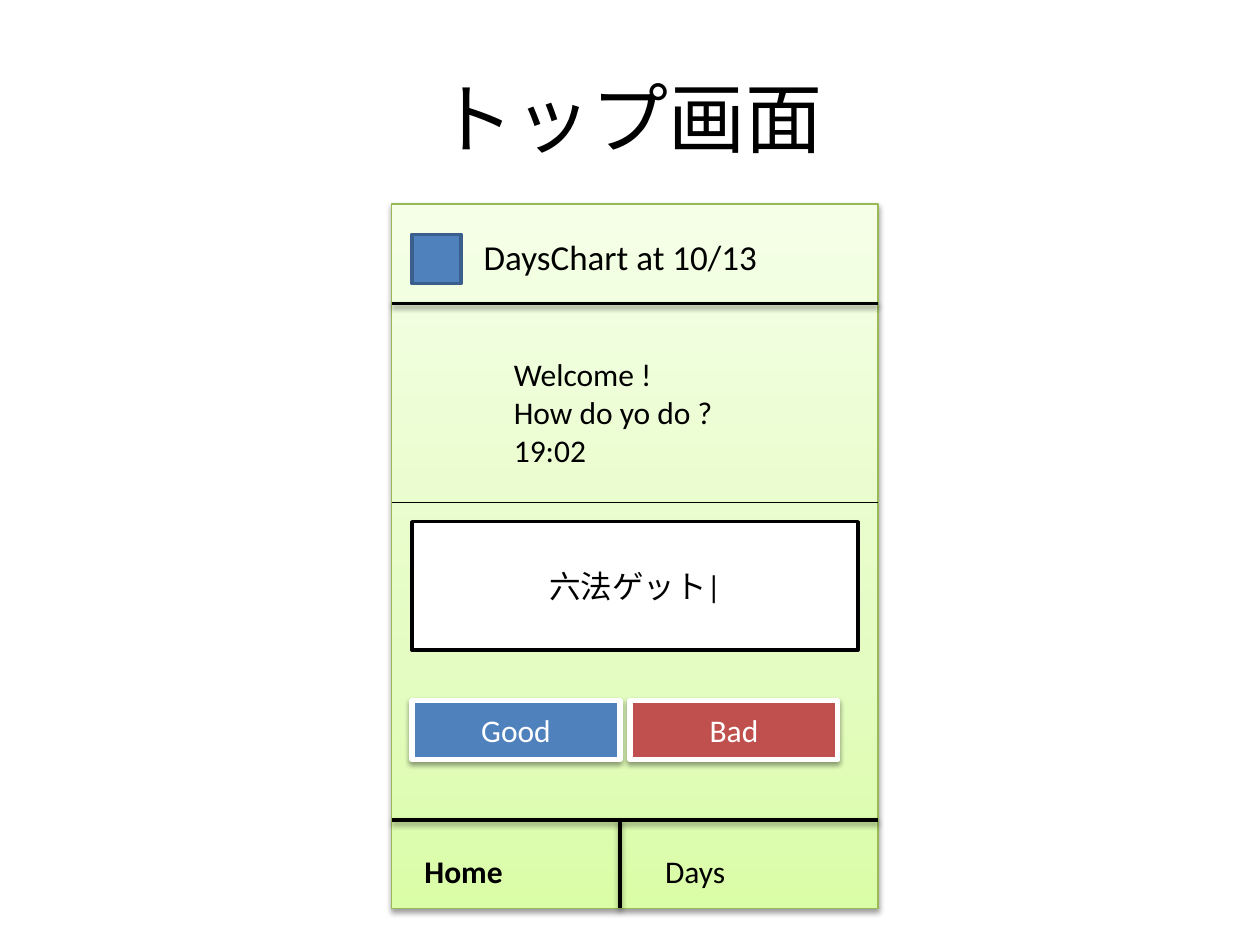
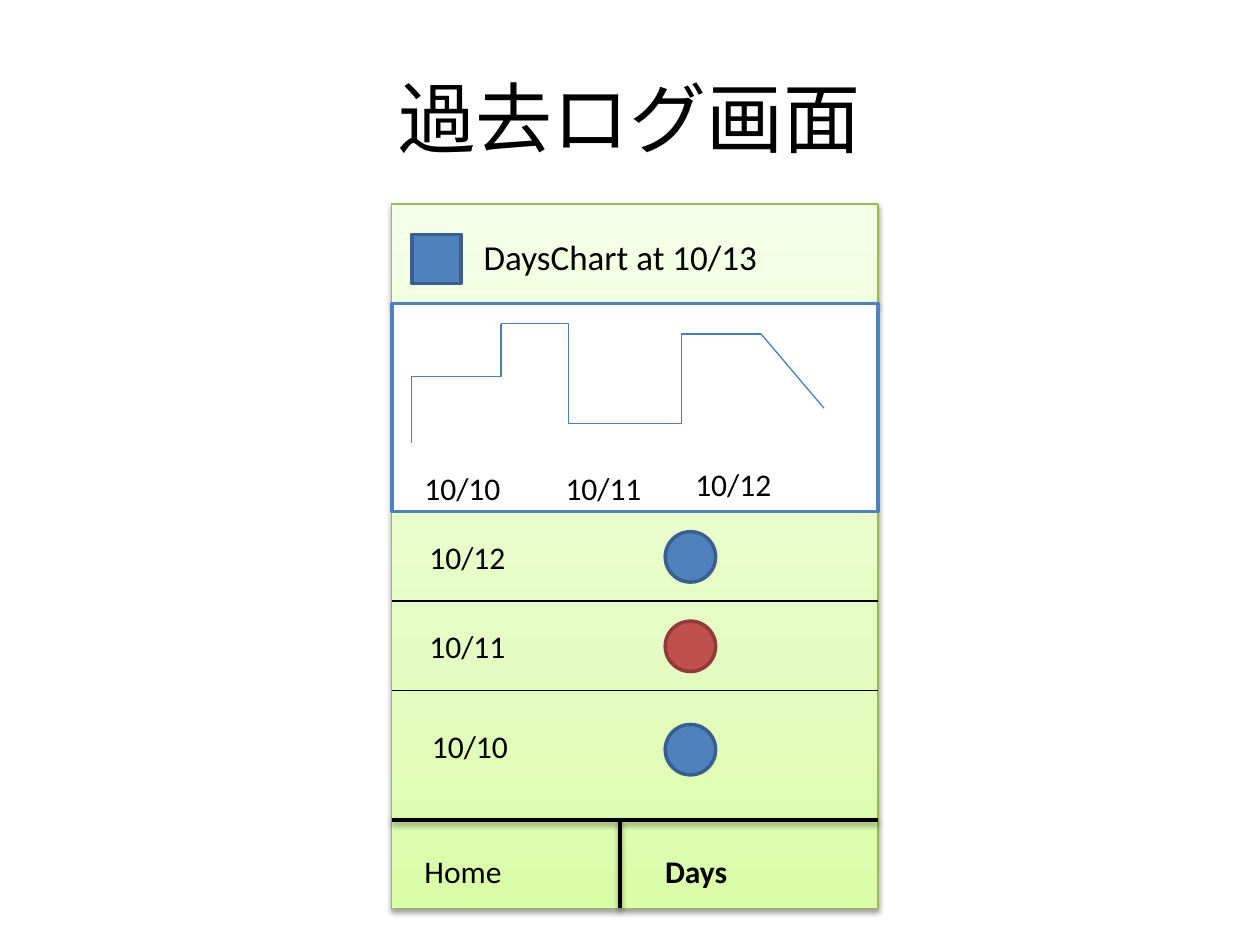
"""Two wireframes of a phone app: the top screen and the past log screen."""
from dataclasses import dataclass
from typing import Any, Optional

import lxml.etree
import pptx
import pptx.dml.color
import pptx.enum.shapes
import pptx.enum.text
import pptx.oxml
import pptx.oxml.ns
import pptx.util

Inches = pptx.util.Inches
Pt = pptx.util.Pt
qn = pptx.oxml.ns.qn
SHAPE = pptx.enum.shapes.MSO_SHAPE
CONNECTOR = pptx.enum.shapes.MSO_CONNECTOR
ANCHOR = pptx.enum.text.MSO_ANCHOR
ALIGN = pptx.enum.text.PP_ALIGN


@dataclass(frozen=True)
class Theme:
    """Colours, type sizes and line widths of both screens."""
    font: str = "Calibri"
    black: str = "000000"
    white: str = "FFFFFF"
    blue: str = "4F81BD"
    blue_edge: str = "3A5F8C"
    trend: str = "4B7EBC"
    red: str = "C0504D"
    red_edge: str = "8E3B39"
    phone_edge: str = "98B955"
    phone_stops: tuple = ((0, "DAFDA7"), (35, "E4FCC2"), (100, "F5FFE7"))
    title_size: int = 44
    header_size: int = 20
    body_size: int = 18
    thin: float = 0.75
    thick: float = 2
    button_edge: float = 3


@dataclass(frozen=True)
class Box:
    """A rectangle in inches."""
    left: float
    top: float
    width: float
    height: float

    def emu(self) -> tuple:
        """Return the four lengths for python-pptx."""
        return tuple(Inches(v) for v in (self.left, self.top, self.width, self.height))


@dataclass(frozen=True)
class Label:
    """A short text and the corner where its box starts."""
    text: str
    left: float
    top: float


@dataclass(frozen=True)
class Entry:
    """One day of the log and its mark."""
    label: Label
    mark_top: float
    fill: str
    edge: str


@dataclass(frozen=True)
class Elbow:
    """One bent piece of the trend line."""
    start: tuple
    end: tuple
    bend: float = 0.5
    turn: int = 0


T = Theme()
PHONE = Box(3.11, 1.62, 3.86, 5.59)
PHONE_RIGHT = PHONE.left + PHONE.width
PHONE_BOTTOM = PHONE.top + PHONE.height
INNER_LEFT = 3.27
HEADER_BOTTOM = 2.41
TAB_TOP = 6.51
TAB_SPLIT = 4.92
TABS = (Label("Home", INNER_LEFT, 6.71), Label("Days", 5.18, 6.71))
TAB_SIZE = (1.18, 0.4)
DATE_SIZE = (0.87, 0.4)

BUTTONS = (("Good", T.blue), ("Bad", T.red))
BUTTON = Box(INNER_LEFT, 5.56, 1.65, 0.47)
BUTTON_STEP = 1.73

CHART = Box(PHONE.left, HEADER_BOTTOM, PHONE.width, 1.65)
ROW_HEIGHT = 0.71
TREND = (
    Elbow((4.09, 3.4), (3.15, 2.69), bend=0.56, turn=90),
    Elbow((3.98, 2.57), (5.04, 3.36)),
    Elbow((5.04, 3.36), (6.04, 2.65), bend=0.37),
)
AXIS_DATES = (Label("10/10", INNER_LEFT, 3.67), Label("10/11", 4.39, 3.67),
              Label("10/12", 5.42, 3.64))
ENTRIES = (
    Entry(Label("10/12", 3.31, 4.22), 4.22, T.blue, T.blue_edge),
    Entry(Label("10/11", 3.31, 4.93), 4.93, T.red, T.red_edge),
    Entry(Label("10/10", 3.33, 5.72), 5.75, T.blue, T.blue_edge),
)


def rgb(value: str) -> Any:
    """Turn a hex string into a colour."""
    return pptx.dml.color.RGBColor.from_string(value)


def set_effects(sp: Any, shadow: bool) -> None:
    """Drop the theme's shadow, or give the soft one below the object."""
    sub = lxml.etree.SubElement
    effects = sub(sp.element.spPr, qn("a:effectLst"))
    if shadow:
        outer = sub(effects, qn("a:outerShdw"), blurRad=str(Pt(3.1)),
                    dist=str(Pt(1.6)), dir="5400000", rotWithShape="0")
        color = sub(outer, qn("a:srgbClr"), val=T.black)
        sub(color, qn("a:alpha"), val="38000")


def write(sp: Any, text: str, *, size: float = T.body_size, color: str = T.black,
          bold: bool = False, align: Any = ALIGN.LEFT, anchor: Any = ANCHOR.TOP,
          grow: bool = False) -> None:
    """Write text into a shape, one paragraph a line."""
    tf = sp.text_frame
    tf.word_wrap = True
    tf.vertical_anchor = anchor
    if grow:
        tf.auto_size = pptx.enum.text.MSO_AUTO_SIZE.SHAPE_TO_FIT_TEXT
    for i, line in enumerate(text.split("\n")):
        p = tf.add_paragraph() if i else tf.paragraphs[0]
        p.alignment = align
        r = p.add_run()
        r.text = line
        r.font.name = T.font
        r.font.size = Pt(size)
        r.font.bold = bold
        r.font.color.rgb = rgb(color)


def add_text(shapes: Any, box: Box, text: str, **fmt: Any) -> None:
    """Add a text box that grows with its text."""
    write(shapes.add_textbox(*box.emu()), text, grow=True, **fmt)


def add_label(shapes: Any, label: Label, size: tuple, **fmt: Any) -> None:
    """Add a label with a box of the given size."""
    add_text(shapes, Box(label.left, label.top, *size), label.text, **fmt)


def add_shape(shapes: Any, box: Box, fill: Optional[str], edge: str, width: float = T.thick,
              kind: Any = SHAPE.RECTANGLE, shadow: bool = False) -> Any:
    """Add a preset shape; without a fill colour it gets the phone's gradient."""
    sp = shapes.add_shape(kind, *box.emu())
    if fill:
        sp.fill.solid()
        sp.fill.fore_color.rgb = rgb(fill)
    else:
        sp.fill.gradient()
        sp.fill.gradient_angle = 90
        stops = sp.element.spPr.find(".//" + qn("a:gsLst"))
        for stop in list(stops):
            stops.remove(stop)
        for place, color in T.phone_stops:
            stop = lxml.etree.SubElement(stops, qn("a:gs"), pos=str(place * 1000))
            lxml.etree.SubElement(stop, qn("a:srgbClr"), val=color)
    sp.line.color.rgb = rgb(edge)
    sp.line.width = Pt(width)
    set_effects(sp, shadow)
    return sp


def add_line(shapes: Any, start: tuple, end: tuple, color: str = T.black,
             width: float = T.thin, shadow: bool = False,
             kind: Any = CONNECTOR.STRAIGHT) -> Any:
    """Add a connector between two points."""
    line = shapes.add_connector(kind, *(Inches(v) for v in start + end))
    line.line.color.rgb = rgb(color)
    line.line.width = Pt(width)
    set_effects(line, shadow)
    return line


def add_rule(shapes: Any, top: float, **style: Any) -> None:
    """Add a line across the phone."""
    add_line(shapes, (PHONE.left, top), (PHONE_RIGHT, top), **style)


def add_elbow(shapes: Any, elbow: Elbow) -> None:
    """Add a bent connector with its turn and the place of its bend."""
    line = add_line(shapes, elbow.start, elbow.end, T.trend, kind=CONNECTOR.ELBOW)
    spPr = line.element.spPr
    if elbow.turn:
        spPr.find(qn("a:xfrm")).set("rot", str(elbow.turn * 60000))
    guides = spPr.find(".//" + qn("a:avLst"))
    lxml.etree.SubElement(guides, qn("a:gd"), name="adj1",
                          fmla=f"val {round(elbow.bend * 100000)}")


def add_screen(prs: Any, title: str, active_tab: str) -> Any:
    """Add a slide with its title and the empty phone; return its shapes."""
    s = prs.slides.add_slide(prs.slide_layouts[6])
    heading = s.shapes.add_textbox(*Box(0.5, 0.3, 9, 1.25).emu())
    write(heading, title, size=T.title_size, align=ALIGN.CENTER, anchor=ANCHOR.MIDDLE)
    phone = s.shapes.add_group_shape().shapes
    bar = dict(width=T.thick, shadow=True)
    add_shape(phone, PHONE, None, T.phone_edge, T.thin, shadow=True)
    add_shape(phone, Box(INNER_LEFT, 1.86, 0.39, 0.39), T.blue, T.blue_edge)
    add_rule(phone, HEADER_BOTTOM, **bar)
    add_text(phone, Box(3.74, 1.82, 3.07, 0.44), "DaysChart at 10/13", size=T.header_size)
    add_rule(phone, TAB_TOP, **bar)
    add_line(phone, (TAB_SPLIT, PHONE_BOTTOM), (TAB_SPLIT, TAB_TOP), **bar)
    for tab in TABS:
        add_label(phone, tab, TAB_SIZE, bold=tab.text == active_tab)
    return s.shapes


def build_top(prs: Any) -> None:
    """Build the top screen: greeting, input field and two buttons."""
    shapes = add_screen(prs, "トップ画面", "Home")
    centred = dict(align=ALIGN.CENTER, anchor=ANCHOR.MIDDLE)
    add_rule(shapes, 3.99)
    add_text(shapes, Box(3.98, 2.77, 1.89, 1.01), "Welcome !\nHow do yo do ?\n19:02")
    field = add_shape(shapes, Box(INNER_LEFT, 4.14, 3.54, 1.02), T.white, T.black)
    write(field, "六法ゲット|", **centred)
    for i, (text, fill) in enumerate(BUTTONS):
        box = Box(BUTTON.left + i * BUTTON_STEP, BUTTON.top, BUTTON.width, BUTTON.height)
        button = add_shape(shapes, box, fill, T.white, T.button_edge, shadow=True)
        write(button, text, color=T.white, **centred)


def build_log(prs: Any) -> None:
    """Build the log screen: trend line above a list of days."""
    shapes = add_screen(prs, "過去ログ画面", "Days")
    for i in range(len(ENTRIES)):
        add_rule(shapes, CHART.top + CHART.height + i * ROW_HEIGHT)
    add_shape(shapes, CHART, T.white, T.blue)
    for elbow in TREND:
        add_elbow(shapes, elbow)
    add_line(shapes, TREND[-1].end, (6.54, 3.24), T.trend)
    for label in AXIS_DATES:
        add_label(shapes, label, DATE_SIZE)
    for entry in ENTRIES:
        add_label(shapes, entry.label, DATE_SIZE)
        add_shape(shapes, Box(5.28, entry.mark_top, 0.4, 0.4), entry.fill, entry.edge,
                  kind=SHAPE.OVAL)


def main() -> None:
    """Build and save the presentation."""
    prs = pptx.Presentation()
    prs.slide_width = Inches(10)
    prs.slide_height = Inches(7.5)
    build_top(prs)
    build_log(prs)
    prs.save("out.pptx")


main()
